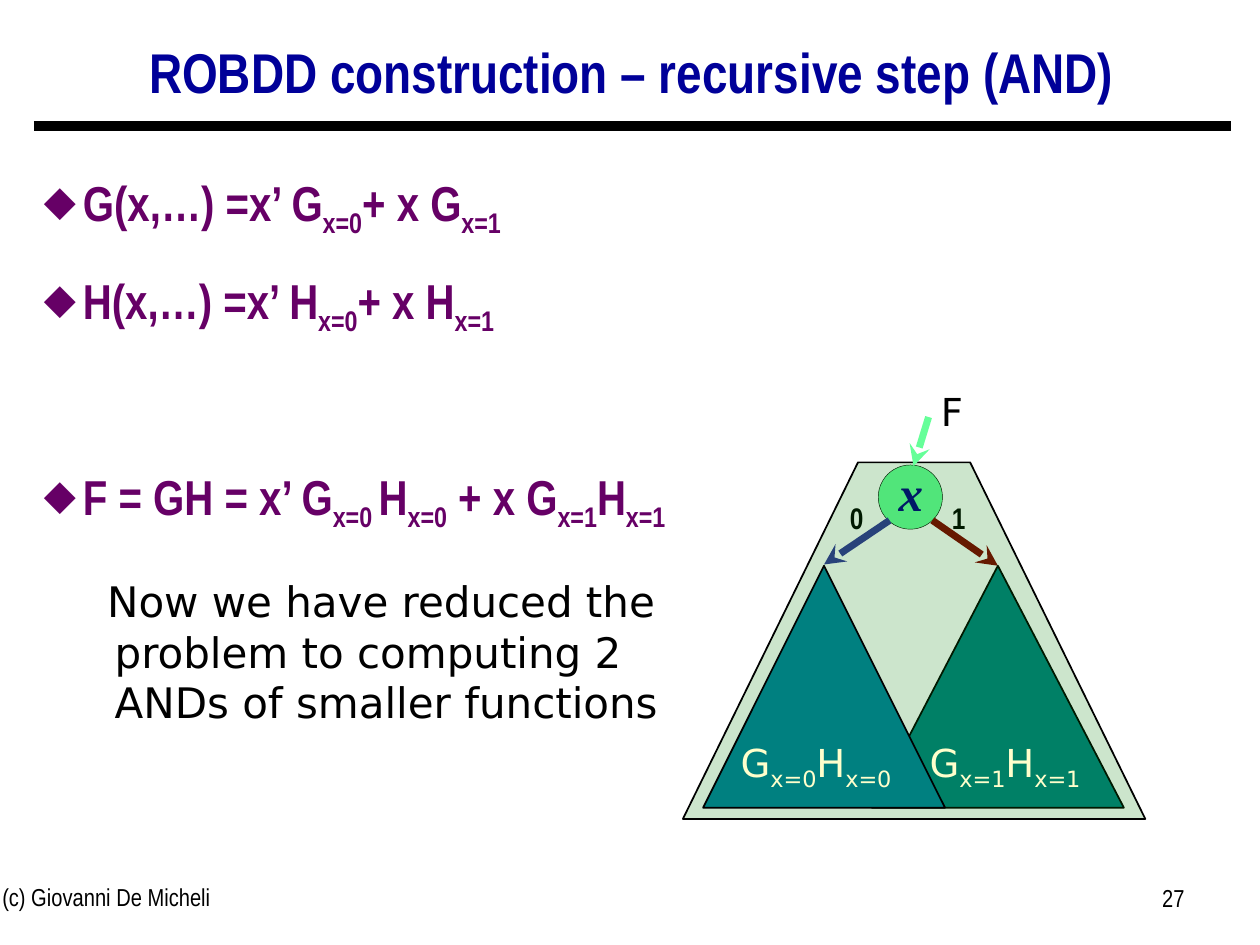
from lxml.etree import SubElement
from pptx import Presentation
from pptx.dml.color import RGBColor
from pptx.enum.shapes import MSO_CONNECTOR, MSO_SHAPE
from pptx.enum.text import MSO_ANCHOR, PP_ALIGN
from pptx.oxml.ns import qn
from pptx.util import Inches, Pt

COLORS = {
    "black": "000000",
    "title": "000099",
    "formula": "660066",
    "green": "66FF99",
    "navy": "000080",
    "teal": "008080",
    "frame": "008000",
    "low": "333399",
    "high": "800000",
    "cream": "FFFFCC",
}
NARROW = "Arial Narrow"
SANS = "DejaVu Sans"


def color(name):
    return RGBColor.from_string(COLORS[name])


def style_font(font, size, name, color_name, bold=False, italic=False):
    font.size = Pt(size)
    font.name = name
    font.bold = bold
    font.italic = italic
    font.color.rgb = color(color_name)


def add_box(slide, left, top, width, height, inset=0.1):
    box = slide.shapes.add_textbox(Inches(left), Inches(top), Inches(width), Inches(height))
    frame = box.text_frame
    frame.word_wrap = True
    frame.margin_left = frame.margin_right = Inches(inset)
    frame.margin_top = frame.margin_bottom = Inches(inset / 2)
    return frame


def add_label(slide, text, area, size, font_name, color_name="black", inset=0.1,
              align=PP_ALIGN.LEFT, bold=False, italic=False):
    frame = add_box(slide, *area, inset=inset)
    frame.text = text
    paragraph = frame.paragraphs[0]
    paragraph.alignment = align
    style_font(paragraph.runs[0].font, size, font_name, color_name, bold, italic)
    return frame


def set_indent(paragraph, hanging):
    properties = paragraph._p.get_or_add_pPr()
    properties.set("marL", str(Inches(hanging)))
    properties.set("indent", str(-Inches(hanging)))
    return properties


def add_bullet(paragraph):
    properties = set_indent(paragraph, 0.31)
    bullet_color = SubElement(properties, qn("a:buClr"))
    SubElement(bullet_color, qn("a:srgbClr"), val=COLORS["formula"])
    SubElement(properties, qn("a:buSzPct"), val="85000")
    SubElement(properties, qn("a:buChar"), char="◆")


def write_formula(paragraph, parts, size, font_name, color_name, bold=False):
    for index, part in enumerate(parts):
        run = paragraph.add_run()
        run.text = part
        style_font(run.font, size, font_name, color_name, bold)
        if index % 2:
            run.font._element.set("baseline", "-25000")


def add_formulas(slide):
    formulas = [
        (0, ["G(x,…) =x’ G", "x=0", "+ x G", "x=1"]),
        (10, ["H(x,…) =x’ H", "x=0", "+ x H", "x=1"]),
        (66, ["F = GH = x’ G", "x=0 ", "H", "x=0", " + x G", "x=1", "H", "x=1"]),
    ]
    frame = add_box(slide, 0.25, 1.21, 9.51, 5.69)
    for index, (space, parts) in enumerate(formulas):
        paragraph = frame.add_paragraph() if index else frame.paragraphs[0]
        add_bullet(paragraph)
        paragraph.line_spacing = Pt(46)
        paragraph.space_before = Pt(space)
        write_formula(paragraph, parts, 28, NARROW, "formula", bold=True)


def add_filled_shape(slide, kind, area, fill_name, line_width=1):
    shape = slide.shapes.add_shape(kind, *[Inches(value) for value in area])
    shape.shadow.inherit = False
    shape.fill.solid()
    shape.fill.fore_color.rgb = color(fill_name)
    shape.line.color.rgb = color("black")
    shape.line.width = Pt(line_width)
    return shape


def add_line(slide, start, end, color_name, width, arrow=False):
    points = [Inches(value) for value in (*start, *end)]
    connector = slide.shapes.add_connector(MSO_CONNECTOR.STRAIGHT, *points)
    connector.line.color.rgb = color(color_name)
    connector.line.width = Pt(width)
    if arrow:
        SubElement(connector.line._get_or_add_ln(), qn("a:tailEnd"), type="stealth")
    SubElement(connector._element.spPr, qn("a:effectLst"))


def add_frame(slide):
    width, height, inset = 3.67, 2.83, 1.39
    trapezoid = add_filled_shape(slide, MSO_SHAPE.TRAPEZOID, (5.42, 3.67, width, height), "frame")
    trapezoid.adjustments[0] = inset / height
    fill_color = trapezoid._element.spPr.find(qn("a:solidFill")).find(qn("a:srgbClr"))
    SubElement(fill_color, qn("a:alpha"), val="20000")


def add_node_label(slide, left, digit):
    frame = add_box(slide, left, 5.82, 1.61, 0.47)
    subscript = f"x={digit}"
    write_formula(frame.paragraphs[0], ["G", subscript, "H", subscript], 22, SANS, "cream")


def add_diagram(slide):
    add_filled_shape(slide, MSO_SHAPE.OVAL, (6.97, 3.69, 0.51, 0.51), "green", 0.25)
    variable = add_label(slide, "x", (7.03, 3.67, 0.4, 0.47), 28, "Times New Roman", "navy",
                         inset=0, align=PP_ALIGN.CENTER, bold=True, italic=True)
    variable.vertical_anchor = MSO_ANCHOR.MIDDLE
    add_line(slide, (7.4, 4.13), (7.92, 4.49), "high", 4, arrow=True)
    add_line(slide, (7.06, 4.13), (6.54, 4.48), "low", 4, arrow=True)
    for digit, left in (("0", 6.65), ("1", 7.46)):
        add_label(slide, digit, (left, 3.97, 0.3, 0.28), 17, NARROW,
                  inset=0, align=PP_ALIGN.CENTER, bold=True)
    add_filled_shape(slide, MSO_SHAPE.ISOSCELES_TRIANGLE, (6.92, 4.49, 2, 1.92), "teal")
    add_frame(slide)
    add_line(slide, (7.37, 3.31), (7.25, 3.7), "green", 4, arrow=True)
    add_label(slide, "F", (7.37, 3.03, 0.47, 0.47), 22, SANS)
    add_filled_shape(slide, MSO_SHAPE.ISOSCELES_TRIANGLE, (5.58, 4.49, 1.92, 1.92), "teal")
    add_node_label(slide, 5.78, 0)
    add_node_label(slide, 7.28, 1)


def add_title(slide, text):
    title = slide.shapes.title
    title.left, title.top = Inches(0.26), Inches(0.22)
    title.width, title.height = Inches(9.51), Inches(0.75)
    title.text_frame.text = text
    title.text_frame.vertical_anchor = MSO_ANCHOR.MIDDLE
    paragraph = title.text_frame.paragraphs[0]
    paragraph.alignment = PP_ALIGN.CENTER
    paragraph.line_spacing = 0.9
    style_font(paragraph.runs[0].font, 32, NARROW, "title", bold=True)


def add_note(slide):
    text = "Now we have reduced the problem to computing 2 ANDs of smaller functions"
    frame = add_label(slide, text, (0.85, 4.52, 4.61, 1.3), 24, SANS)
    frame.margin_left = 0
    set_indent(frame.paragraphs[0], 0.06)


def main():
    presentation = Presentation()
    presentation.slide_width = Inches(10)
    presentation.slide_height = Inches(7.5)
    slide = presentation.slides.add_slide(presentation.slide_layouts[5])
    add_title(slide, "ROBDD construction – recursive step (AND)")
    add_line(slide, (0.27, 1), (9.77, 1), "black", 6)
    add_label(slide, "(c) Giovanni De Micheli", (-0.08, 6.95, 3.17, 0.52), 14, NARROW)
    add_label(slide, "27", (7.17, 6.96, 2.33, 0.52), 14, NARROW, align=PP_ALIGN.RIGHT)
    add_formulas(slide)
    add_diagram(slide)
    add_note(slide)
    presentation.save("out.pptx")


if __name__ == "__main__":
    main()
